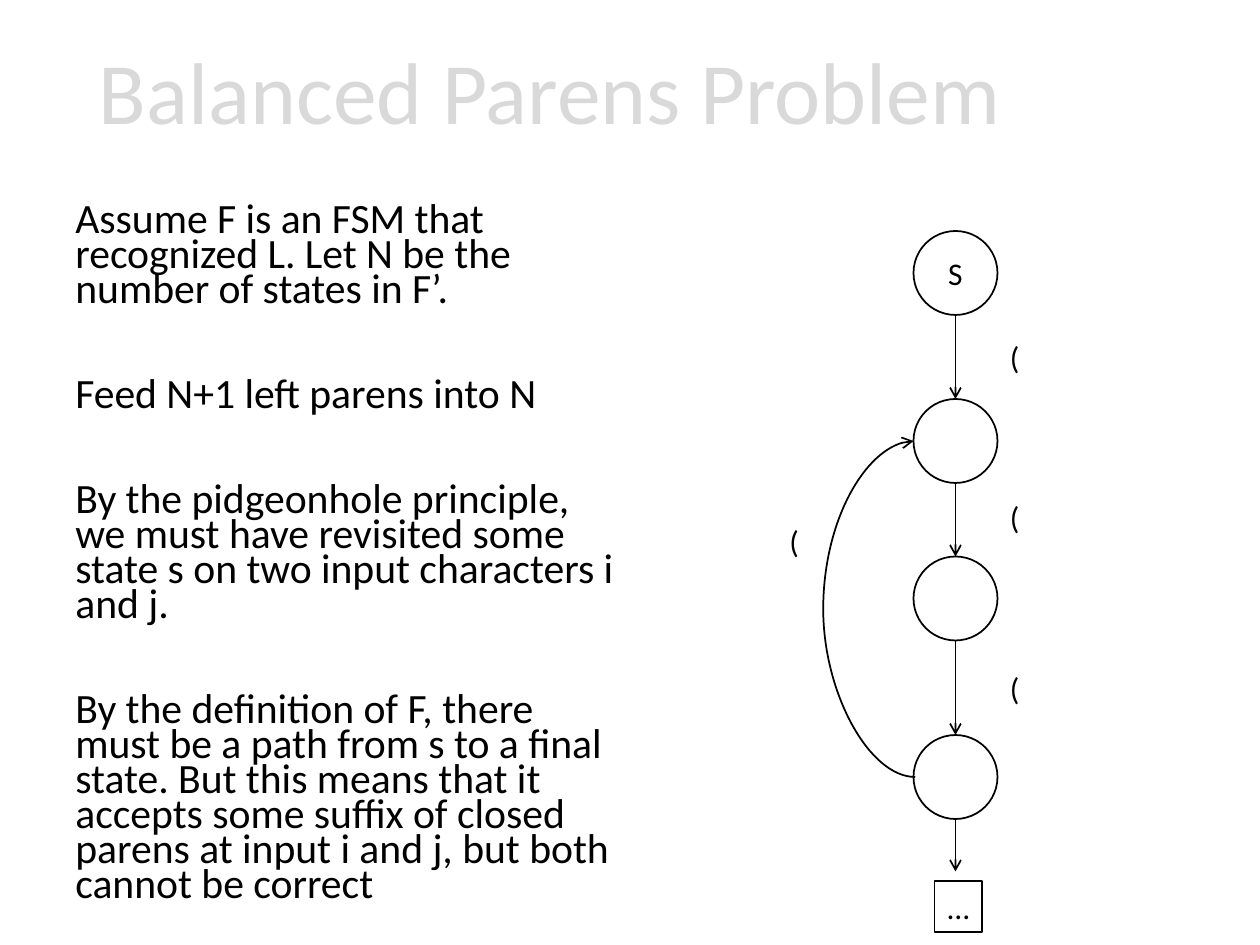
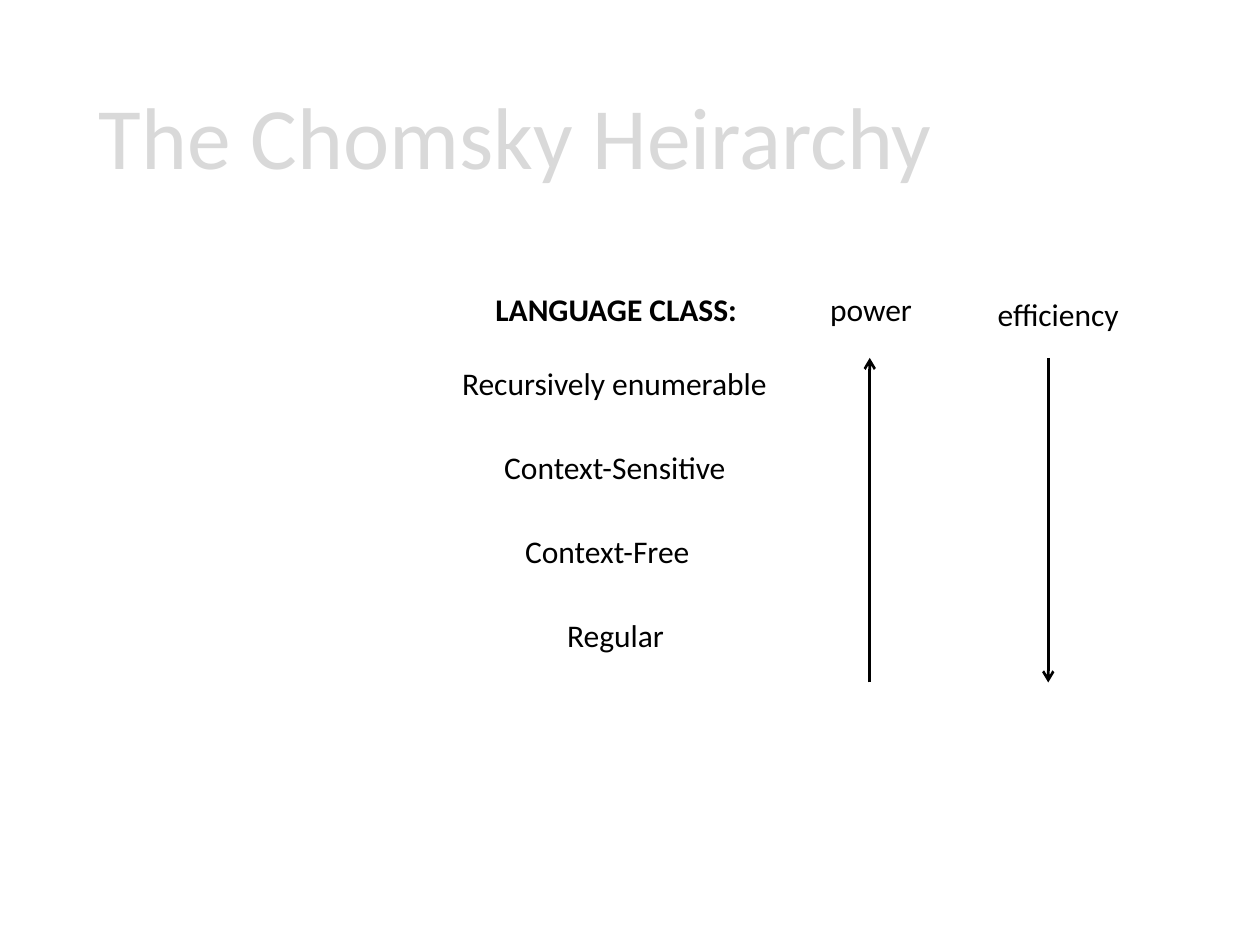
import pptx
import pptx.util
import pptx.dml.color
import pptx.enum.shapes
import pptx.enum.text
import pptx.oxml
import pptx.oxml.ns

Pt = pptx.util.Pt
Shape = pptx.enum.shapes.MSO_SHAPE
Wire = pptx.enum.shapes.MSO_CONNECTOR
Align = pptx.enum.text.PP_ALIGN
Anchor = pptx.enum.text.MSO_ANCHOR

# Shared style
FONT = "Calibri"
INK, PAPER, PALE = "000000", "FFFFFF", "D9D9D9"
DOT = 48       # diameter of a state
AXIS = 546     # centre line of the states
ROW = 28.8     # height of a one-line label

PROOF = [
    "Assume F is an FSM that recognized L. Let N be the number of states in F’.",
    "Feed N+1 left parens into N",
    "By the pidgeonhole principle, we must have revisited some state s on "
    "two input characters i and j.",
    "By the definition of F, there must be a path from s to a final state. "
    "But this means that it accepts some suffix of closed parens at input "
    "i and j, but both cannot be correct",
]
RANKS = [("Recursively enumerable", 210), ("Context-Sensitive", 162),
         ("Context-Free", 138), ("Regular", 90)]


def color(code):
    return pptx.dml.color.RGBColor.from_string(code)


def style(para, size=18, ink=INK, bold=False):
    for run in para.runs:
        font = run.font
        font.name, font.size, font.bold = FONT, Pt(size), bold
        font.color.rgb = color(ink)


def label(slide, text, left, top, width, high=ROW, wrap=False, **look):
    box = slide.shapes.add_textbox(Pt(left), Pt(top), Pt(width), Pt(high))
    frame = box.text_frame
    frame.word_wrap = wrap
    frame.text = text
    style(frame.paragraphs[0], **look)
    return frame


def title(slide, text, top):
    frame = label(slide, text, 49.5, top, 621, 104.4, True, size=50, ink=PALE)
    frame.vertical_anchor = Anchor.MIDDLE
    frame.paragraphs[0].line_spacing = 0.9


def prose(slide, lines):
    box = slide.shapes.add_textbox(Pt(36), Pt(114), Pt(324), Pt(426))
    frame = box.text_frame
    frame.word_wrap = True
    frame.text = "\n".join(lines)
    for num, para in enumerate(frame.paragraphs):
        para.line_spacing = 0.7
        para.space_before = Pt(40 if num else 10)
        style(para, 23.8)


def node(slide, kind, left, top, width, high, text=""):
    shape = slide.shapes.add_shape(kind, Pt(left), Pt(top), Pt(width), Pt(high))
    shape.shadow.inherit = False
    shape.fill.solid()
    shape.fill.fore_color.rgb = color(PAPER)
    shape.line.color.rgb = color(INK)
    shape.line.width = Pt(1)
    frame = shape.text_frame
    frame.word_wrap = False
    frame.vertical_anchor = Anchor.MIDDLE
    frame.text = text
    frame.paragraphs[0].alignment = Align.CENTER
    style(frame.paragraphs[0])


def arrow(slide, x1, y1, x2, y2, width=1, kind=Wire.STRAIGHT):
    wire = slide.shapes.add_connector(kind, Pt(x1), Pt(y1), Pt(x2), Pt(y2))
    wire.line.color.rgb = color(INK)
    wire.line.width = Pt(width)
    ns = pptx.oxml.ns.nsdecls("a")
    wire.line._get_or_add_ln().append(
        pptx.oxml.parse_xml(f'<a:tailEnd {ns} type="arrow"/>'))
    wire._element.spPr.append(pptx.oxml.parse_xml(f"<a:effectLst {ns}/>"))
    return wire


def loop(slide, left, top, base, bulge):
    """Curve that runs from the base up to the top, bowed to the left."""
    wire = arrow(slide, left, top, left + 1, base, kind=Wire.CURVE)
    props = wire._element.spPr
    props.find(pptx.oxml.ns.qn("a:xfrm")).set("rot", "10800000")
    geom = props.find(pptx.oxml.ns.qn("a:prstGeom"))
    for old in list(geom):
        geom.remove(old)
    ns = pptx.oxml.ns.nsdecls("a")
    geom.append(pptx.oxml.parse_xml(
        f'<a:avLst {ns}><a:gd name="adj1" fmla="val {bulge * 100000}"/></a:avLst>'))


def parens(slide):
    title(slide, "Balanced Parens Problem", 3)
    prose(slide, PROOF)

    # Chain of states
    tops = [132, 228, 318, 420]
    left = AXIS - DOT / 2
    for num, top in enumerate(tops):
        node(slide, Shape.OVAL, left, top, DOT, DOT, "" if num else "S")
    for top, end in zip(tops, tops[1:] + [498]):
        arrow(slide, AXIS, top + DOT, AXIS, end)
    node(slide, Shape.RECTANGLE, 534, 503.5, 27.3, 29, "…")

    # Way back to the second state
    loop(slide, left, tops[1] + DOT / 2, tops[3] + DOT / 2, 53)

    # Input read on each step
    for x, y in [(570, 189.5), (570, 281), (570, 378.5), (444, 295)]:
        label(slide, "(", x, y, 20)


def ranks(slide):
    title(slide, "The Chomsky Heirarchy", 28.5)
    label(slide, "LANGUAGE CLASS:", 276, 162, 154, bold=True)
    label(slide, "power", 467.2, 162, 62)
    label(slide, "efficiency", 563, 165, 85)

    # Classes, from the widest to the narrowest
    for num, (name, width) in enumerate(RANKS):
        label(slide, name, 362 - width / 2, 204.5 + 48 * num, width, wrap=True)

    # Trends
    high, low = 204.5, 390
    arrow(slide, 497, low, 497, high, 1.5)
    arrow(slide, 599, high, 599, low, 1.5)


def main():
    deck = pptx.Presentation()
    deck.slide_width, deck.slide_height = Pt(720), Pt(540)
    for draw in (parens, ranks):
        draw(deck.slides.add_slide(deck.slide_layouts[6]))
    deck.save("out.pptx")


if __name__ == "__main__":
    main()
